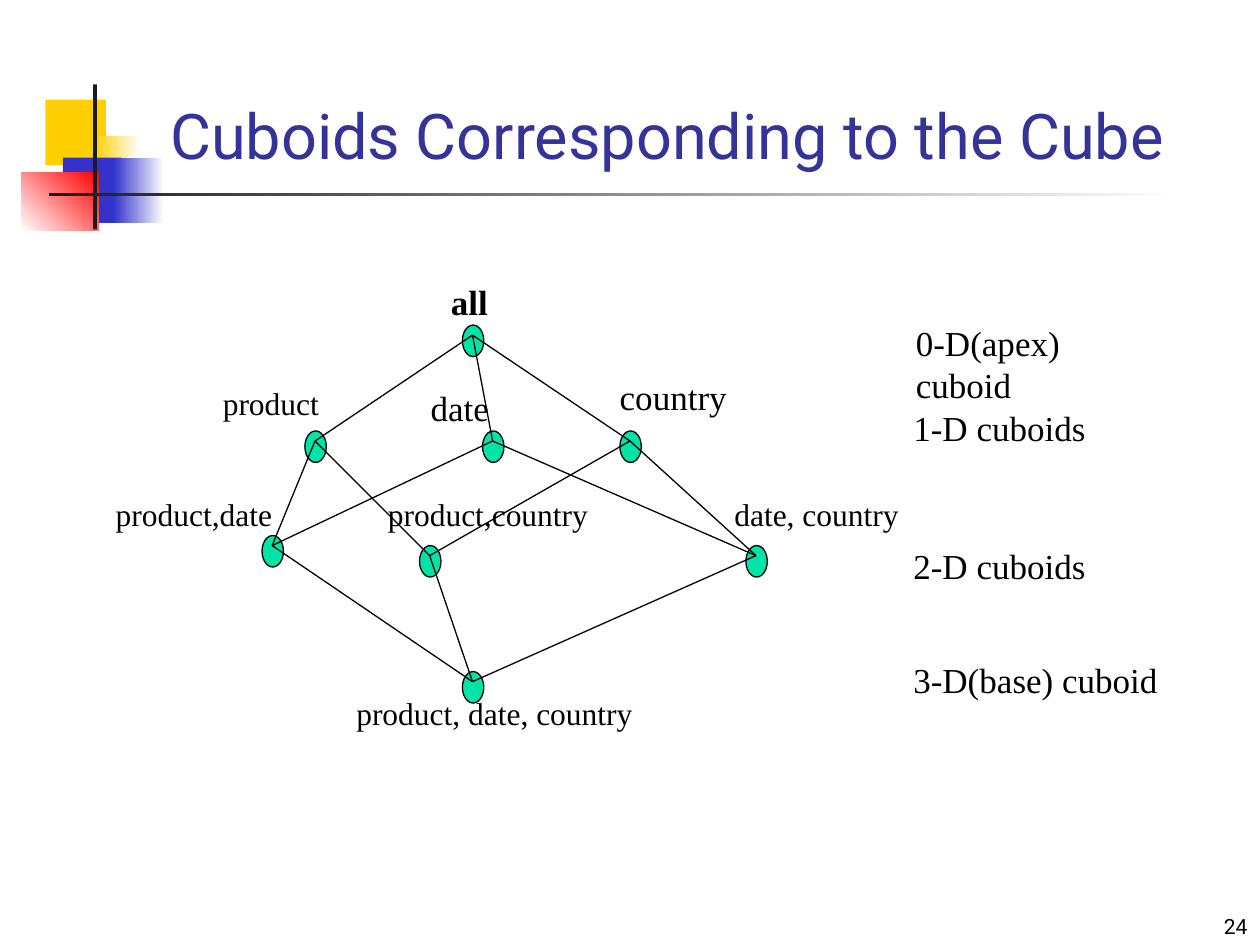
from lxml import etree
from pptx import Presentation
from pptx.dml.color import RGBColor
from pptx.enum.shapes import MSO_CONNECTOR, MSO_SHAPE
from pptx.enum.text import MSO_ANCHOR, MSO_AUTO_SIZE, PP_ALIGN
from pptx.oxml.ns import qn
from pptx.util import Inches, Pt

RECTANGLE = MSO_SHAPE.RECTANGLE
NODE_SHAPE = MSO_SHAPE.FLOWCHART_CONNECTOR
STRAIGHT = MSO_CONNECTOR.STRAIGHT
LEFT, RIGHT = PP_ALIGN.LEFT, PP_ALIGN.RIGHT
TOP, BOTTOM = MSO_ANCHOR.TOP, MSO_ANCHOR.BOTTOM
NO_AUTOFIT = MSO_AUTO_SIZE.NONE
TITLE_ONLY = 5

SERIF, SANS = "Times New Roman", "Roboto"
BLACK, WHITE, INK = "000000", "FFFFFF", "1C1C1C"
YELLOW, BLUE, RED = "FFCF01", "3333CC", "FF0000"
GREEN, INDIGO = "00E4A8", "333399"
NODE_WIDTH, NODE_HEIGHT, JOINT = 0.17, 0.25, 0.08

CUBOIDS = {
    "all": (3.5, 0.4),
    "product": (2.25, 1.24),
    "date": (3.66, 1.24),
    "country": (4.75, 1.24),
    "product,date": (1.91, 2.07),
    "date, country": (5.75, 2.15),
    "product,country": (3.16, 2.15),
    "product, date, country": (3.5, 3.15),
}
EDGES = [
    ("all", "product"), ("all", "country"), ("all", "date"),
    ("product", "product,date"), ("date", "product,date"),
    ("product", "product,country"), ("country", "product,country"),
    ("date", "date, country"), ("country", "date, country"),
    ("product,date", "product, date, country"),
    ("product,country", "product, date, country"),
    ("date, country", "product, date, country"),
]
CUBOID_LABELS = [
    ("all", 3.31, 0, 0.49, 20),
    ("product", 1.5, 0.82, 0.97, 18),
    ("date", 3.15, 0.84, 0.66, 20),
    ("country", 4.65, 0.75, 1.05, 20),
    ("product,date", 0.65, 1.7, 1.44, 18),
    ("product,country", 2.81, 1.7, 1.79, 18),
    ("date, country", 5.56, 1.7, 1.51, 18),
    ("product, date, country", 2.56, 3.28, 2.4, 18),
]
LEVELS = [
    ("0-D(apex) cuboid", 0.02, 0),
    ("1-D cuboids", 0, 0.68),
    ("2-D cuboids", 0, 1.77),
    ("3-D(base) cuboid", 0, 2.68),
]


def rgb(value):
    return RGBColor.from_string(value)


def write(holder, text, size=20, font=SERIF, color=BLACK, bold=False,
          align=LEFT, anchor=TOP, wrap=True):
    frame = holder.text_frame
    frame.word_wrap = wrap
    frame.auto_size = NO_AUTOFIT
    frame.vertical_anchor = anchor
    paragraph = frame.paragraphs[0]
    paragraph.alignment = align
    run = paragraph.add_run()
    run.text = text
    run.font.size = Pt(size)
    run.font.name = font
    run.font.bold = bold
    run.font.color.rgb = rgb(color)


def add_label(slide, text, left, top, width, height, **style):
    label = slide.shapes.add_textbox(
        Inches(left), Inches(top), Inches(width), Inches(height))
    write(label, text, **style)


def add_block(slide, left, top, width, height, start, end=None, angle=0):
    block = slide.shapes.add_shape(
        RECTANGLE, Inches(left), Inches(top), Inches(width), Inches(height))
    block.shadow.inherit = False
    block.line.fill.background()
    if end is None:
        block.fill.solid()
        block.fill.fore_color.rgb = rgb(start)
        return
    block.fill.gradient()
    block.fill.gradient_angle = angle
    for stop, color in zip(block.fill.gradient_stops, (start, end)):
        stop.color.rgb = rgb(color)


def add_ornament(slide, left, top):
    add_block(slide, left + 0.19, top + 0.12, 0.48, 0.52, YELLOW)
    add_block(slide, left + 0.58, top + 0.41, 0.36, 0.52, YELLOW, WHITE)
    add_block(slide, left + 0.33, top + 0.58, 0.46, 0.52, BLUE)
    add_block(slide, left + 0.73, top + 0.58, 0.4, 0.52, BLUE, WHITE)
    add_block(slide, left, top + 0.7, 0.61, 0.46, WHITE, RED, angle=45)
    add_block(slide, left + 0.57, top, 0.03, 1.15, INK)
    add_block(slide, left + 0.22, top + 0.86, 9, 0.03, INK, WHITE)


def add_title(slide, left, top, width, height):
    title = slide.shapes.title
    title.left, title.top = Inches(left), Inches(top)
    title.width, title.height = Inches(width), Inches(height)
    write(title, "Cuboids Corresponding to the Cube", size=36, font=SANS,
          color=INDIGO, anchor=BOTTOM)


def add_node(slide, left, top):
    node = slide.shapes.add_shape(
        NODE_SHAPE, Inches(left), Inches(top),
        Inches(NODE_WIDTH), Inches(NODE_HEIGHT))
    node.shadow.inherit = False
    node.fill.solid()
    node.fill.fore_color.rgb = rgb(GREEN)
    node.line.color.rgb = rgb(BLACK)
    node.line.width = Pt(0.75)


def add_edge(slide, start, end):
    ends = [Inches(value + JOINT) for value in (*start, *end)]
    edge = slide.shapes.add_connector(STRAIGHT, *ends)
    edge.line.color.rgb = rgb(BLACK)
    edge.line.width = Pt(0.75)
    etree.SubElement(edge._element.spPr, qn("a:effectLst"))


def add_lattice(slide, left, top):
    places = {name: (left + x, top + y) for name, (x, y) in CUBOIDS.items()}
    for place in places.values():
        add_node(slide, *place)
    for upper, lower in EDGES:
        add_edge(slide, places[upper], places[lower])
    for text, x, y, width, size in CUBOID_LABELS:
        add_label(slide, text, left + x, top + y, width, size * 0.02 + 0.03,
                  size=size, bold=text == "all", wrap=False)


def add_levels(slide, left, top, width):
    for text, x, y in LEVELS:
        add_label(slide, text, left + x, top + y, width, 0.43)


def main():
    deck = Presentation()
    deck.slide_width, deck.slide_height = Inches(10), Inches(7.5)
    slide = deck.slides.add_slide(deck.slide_layouts[TITLE_ONLY])
    add_ornament(slide, 0.17, 0.67)
    add_label(slide, "24", 7.92, 7, 2.08, 0.5, size=12, font=SANS,
              align=RIGHT, anchor=BOTTOM)
    add_title(slide, 1.25, 0.75, 8.52, 0.67)
    add_lattice(slide, 0.17, 2.18)
    add_levels(slide, 7.15, 2.5, 2.14)
    deck.save("out.pptx")


if __name__ == "__main__":
    main()
